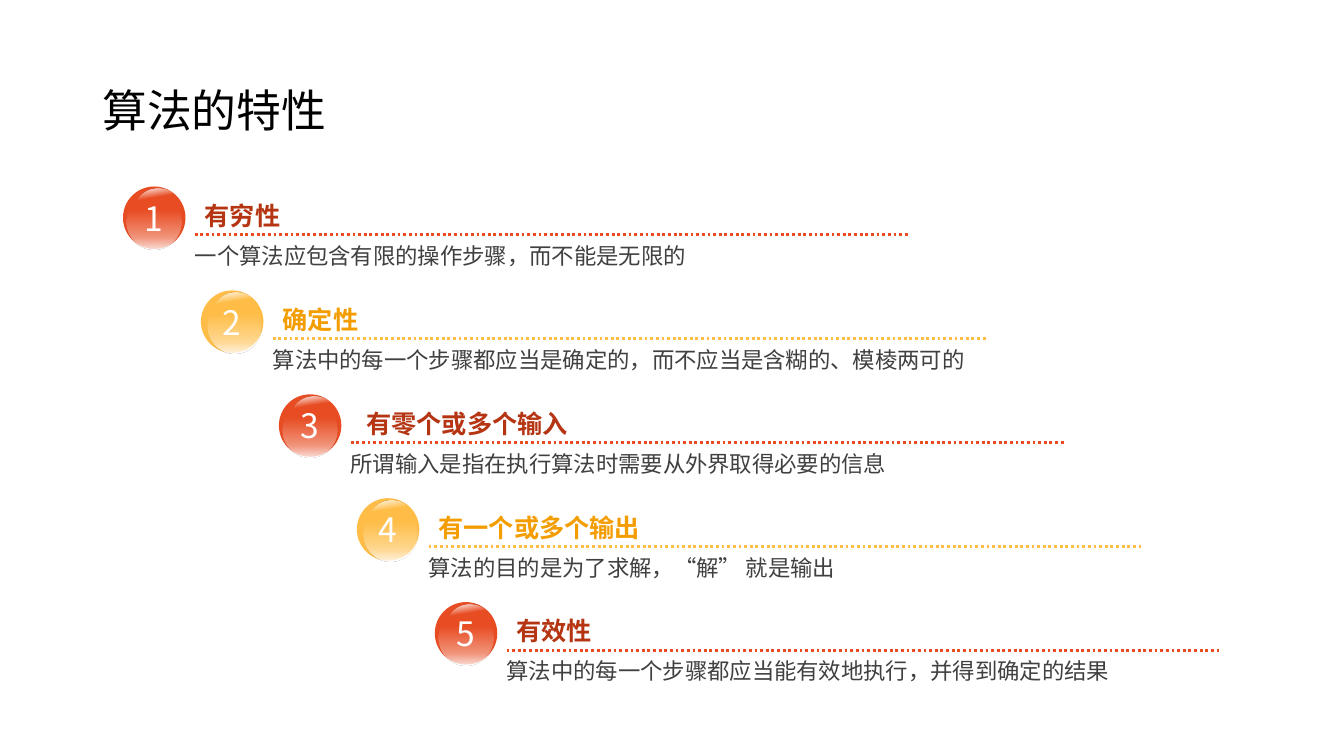
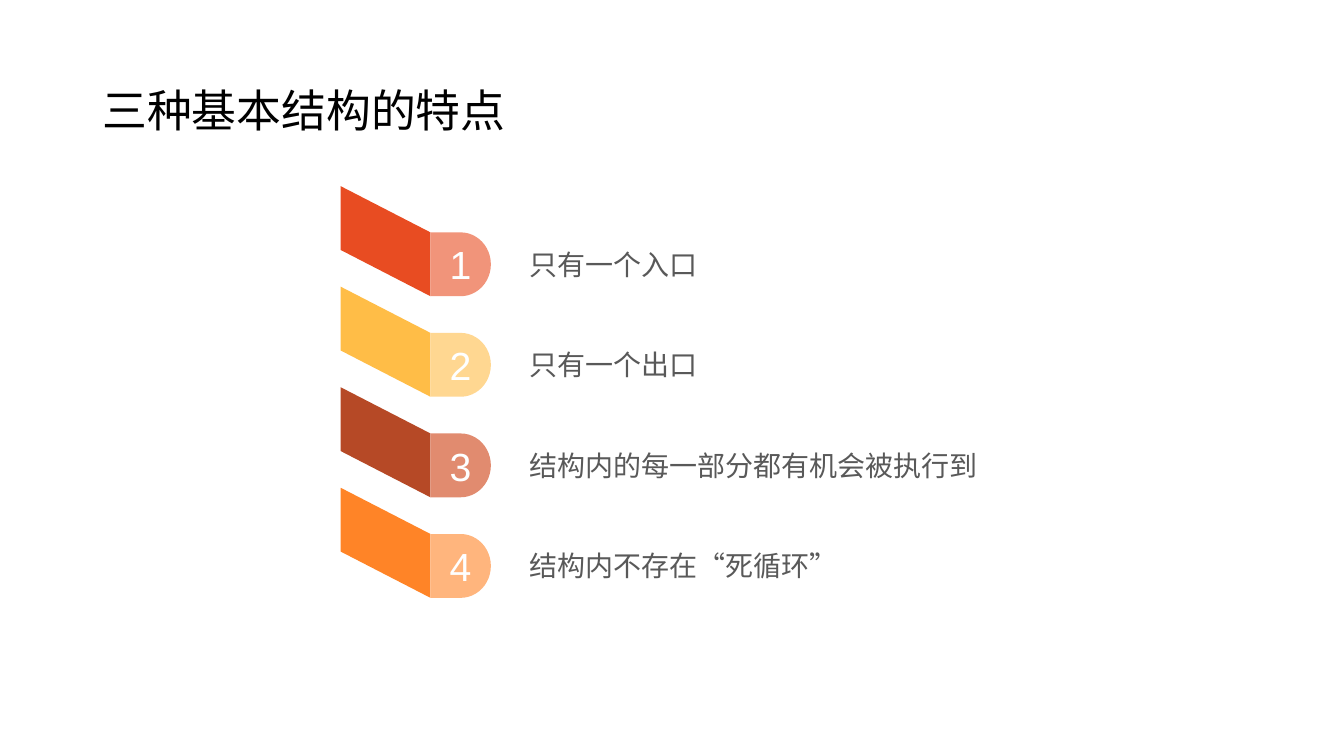
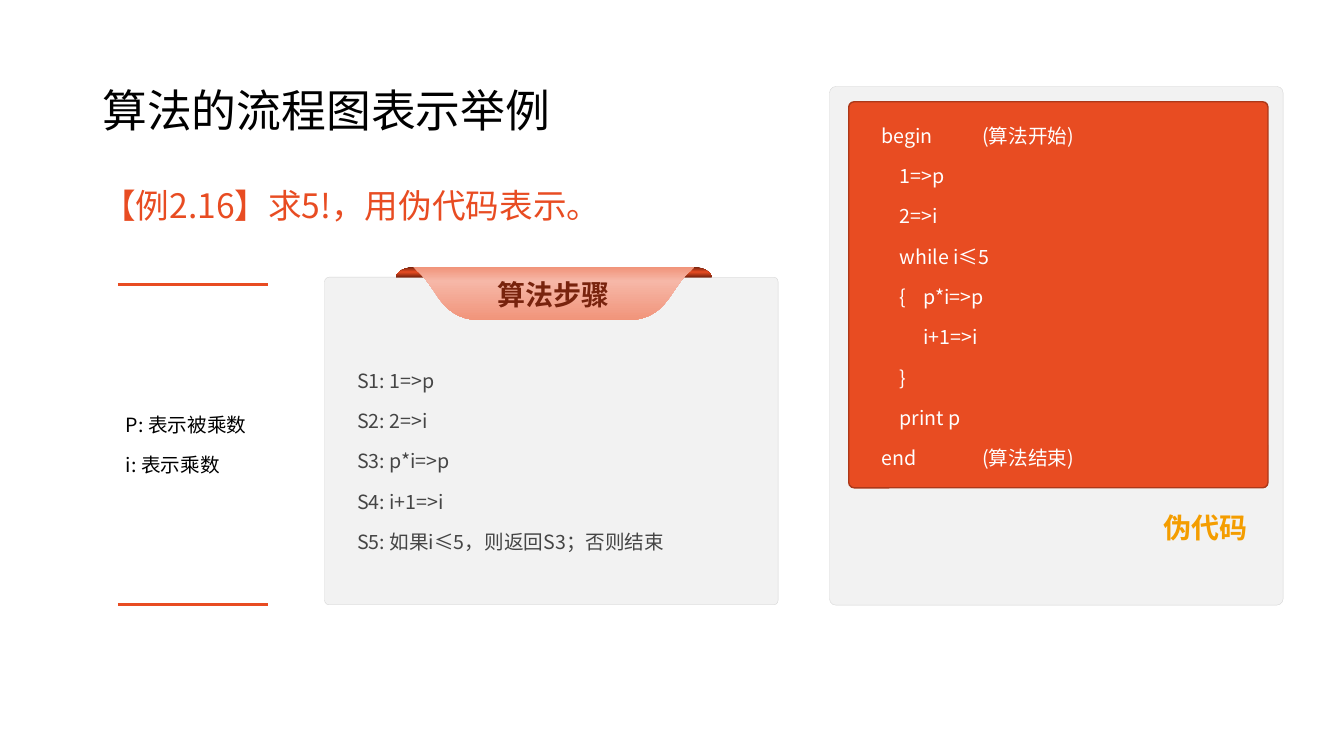
from lxml.etree import SubElement
from pptx import Presentation
from pptx.dml.color import RGBColor
from pptx.enum.dml import MSO_LINE
from pptx.enum.shapes import MSO_CONNECTOR, MSO_SHAPE as SHAPE
from pptx.enum.text import MSO_ANCHOR as ANCHOR, PP_ALIGN as ALIGN
from pptx.oxml import parse_xml
from pptx.oxml.ns import nsdecls, qn
from pptx.util import Pt

# Grid: 160 columns by 90 rows of square cells, twelve to the inch
COLS, ROWS, CELL = 160, 90, 76200

FONT = "Noto Sans CJK SC"
BLACK = RGBColor(0x00, 0x00, 0x00)
WHITE = RGBColor(0xFF, 0xFF, 0xFF)
NEAR_WHITE = RGBColor(0xFE, 0xFF, 0xFF)
DARK_GREY = RGBColor(0x40, 0x40, 0x40)
STEP_GREY = RGBColor(0x45, 0x45, 0x45)
MID_GREY = RGBColor(0x59, 0x59, 0x59)
CARD = RGBColor(0xF2, 0xF2, 0xF2)
CARD_EDGE = RGBColor(0xD5, 0xD5, 0xD5)
RED = RGBColor(0xE8, 0x4C, 0x22)
RED_EDGE = RGBColor(0xAC, 0x38, 0x19)
DEEP_RED = RGBColor(0xB5, 0x35, 0x13)
MAROON = RGBColor(0x78, 0x23, 0x0D)
SALMON = RGBColor(0xF1, 0x94, 0x7A)
PALE_SALMON = RGBColor(0xF6, 0xB7, 0xA7)
YELLOW = RGBColor(0xFF, 0xBD, 0x47)
PALE_YELLOW = RGBColor(0xFF, 0xD7, 0x91)
AMBER = RGBColor(0xF4, 0x9D, 0x00)
BROWN = RGBColor(0xB6, 0x49, 0x26)
PALE_BROWN = RGBColor(0xE1, 0x8B, 0x6F)
ORANGE = RGBColor(0xFF, 0x84, 0x27)
PALE_ORANGE = RGBColor(0xFF, 0xB5, 0x7D)


def paint(sp, fill=None, line=None, width=1, angle=90):
    """Fill is a colour or a list of (position %, colour, opacity %)."""
    spPr = sp._element.spPr
    if isinstance(fill, list):
        stops = "".join(
            f'<a:gs pos="{pos * 1000}"><a:srgbClr val="{color}">'
            f'<a:alpha val="{alpha * 1000}"/></a:srgbClr></a:gs>'
            for pos, color, alpha in fill)
        spPr.insert(2, parse_xml(
            f'<a:gradFill {nsdecls("a")} rotWithShape="1"><a:gsLst>{stops}</a:gsLst>'
            f'<a:lin ang="{angle * 60000}" scaled="0"/></a:gradFill>'))
    elif fill is not None:
        sp.fill.solid()
        sp.fill.fore_color.rgb = fill
    if line is None:
        sp.line.fill.background()
    else:
        sp.line.color.rgb = line
        sp.line.width = Pt(width)
    SubElement(spPr, qn("a:effectLst"))


def write(sp, text, size, color, bold=False, align=ALIGN.LEFT, anchor=ANCHOR.TOP,
          insets=(1.2, 0.6, 1.2, 0.6), spacing=None, before=0, after=0, font=FONT):
    tf = sp.text_frame
    tf.word_wrap = True
    tf.vertical_anchor = anchor
    tf.margin_left, tf.margin_top, tf.margin_right, tf.margin_bottom = (
        round(inset * CELL) for inset in insets)
    tf.text = text
    for p in tf.paragraphs:
        p.alignment = align
        p.line_spacing = spacing
        p.space_before, p.space_after = Pt(before), Pt(after)
        for r in p.runs:
            r.font.size, r.font.bold, r.font.name = Pt(size), bold, font
            r.font.color.rgb = color
            SubElement(r._r.get_or_add_rPr(), qn("a:ea"), typeface=FONT)


prs = Presentation()
prs.slide_width, prs.slide_height = COLS * CELL, ROWS * CELL

# Slides with their shared title
slides = []
for title in ("算法的特性", "三种基本结构的特点", "算法的流程图表示举例"):
    s = prs.slides.add_slide(prs.slide_layouts[6])
    box = [round(v * CELL) for v in (11, 4.8, 138, 17.4)]
    write(s.shapes.add_textbox(*box), title, 32, BLACK, anchor=ANCHOR.MIDDLE, spacing=0.9)
    slides.append(s)
traits, structures, example = (s.shapes for s in slides)

# Slide 1: staircase of glossy numbered balls
GLINT = [(0, WHITE, 0), (16, WHITE, 88), (30, WHITE, 0)]
SHINE = [(28, WHITE, 0), (78, WHITE, 41), (98, WHITE, 79)]
features = [
    ("有穷性", "一个算法应包含有限的操作步骤，而不能是无限的"),
    ("确定性", "算法中的每一个步骤都应当是确定的，而不应当是含糊的、模棱两可的"),
    (" 有零个或多个输入", "所谓输入是指在执行算法时需要从外界取得必要的信息"),
    ("有一个或多个输出", "算法的目的是为了求解，“解” 就是输出"),
    ("有效性", "算法中的每一个步骤都应当能有效地执行，并得到确定的结果"),
]
ball_styles = [(RED, DEEP_RED, 0.44), (YELLOW, AMBER, 0.75)]
for i, (name, detail) in enumerate(features):
    color, name_color, shine_x = ball_styles[i % 2]
    x, y = 14.64 + 9.28 * i, 22.2 + 12.37 * i
    rule_x, rule_y = x + 8.55, y + 5.74

    layers = [(0, 0, 7.44, 7.44, color, 0, 0),
              (1.36, 0.36, 6.1, 5.66, GLINT, 45, 35.7),
              (shine_x, 1, 6.5, 6.5, SHINE, 90, 0)]
    for dx, dy, w, h, fill, angle, turn in layers:
        box = [round(v * CELL) for v in (x + dx, y + dy, w, h)]
        sp = s_ball = traits.add_shape(SHAPE.OVAL, *box)
        sp.rotation = turn
        paint(sp, fill, angle=angle)
        if fill is color:
            write(sp, str(i + 1), 24, WHITE, align=ALIGN.CENTER,
                  anchor=ANCHOR.MIDDLE, insets=(0, 0.6, 0, 0.6))

    ends = [round(v * CELL) for v in (rule_x, rule_y, rule_x + 85, rule_y)]
    rule = traits.add_connector(MSO_CONNECTOR.STRAIGHT, *ends)
    paint(rule, line=color, width=2)
    rule.line.dash_style = MSO_LINE.ROUND_DOT

    box = [round(v * CELL) for v in (rule_x, rule_y - 5.2, 61.4, 5.28)]
    write(traits.add_textbox(*box), name, 18, name_color, bold=True, anchor=ANCHOR.BOTTOM)
    box = [round(v * CELL) for v in (rule_x, rule_y - 0.1, 85, 4.92)]
    write(traits.add_textbox(*box), detail, 16, DARK_GREY, insets=(0, 0, 0, 0), spacing=1.3)

# Slide 2: folded ribbons with numbered ends
ribbons = [
    ("只有一个入口", RED, SALMON),
    ("只有一个出口", YELLOW, PALE_YELLOW),
    ("结构内的每一部分都有机会被执行到", BROWN, PALE_BROWN),
    ("结构内不存在“死循环”", ORANGE, PALE_ORANGE),
]
left, fold, drop, band = 40.56, 51.24, 5.5, 7.6
for i, (label, color, pale) in enumerate(ribbons):
    top = 22.16 + 11.97 * i
    corners = [(round(x * CELL), round(y * CELL)) for x, y in (
        (left, top), (fold, top + drop), (fold, top + drop + band), (left, top + band))]
    builder = structures.build_freeform(*corners[0])
    builder.add_line_segments(corners[1:])
    paint(builder.convert_to_shape(), color)

    box = [round(v * CELL) for v in (fold, top + drop, 7.2, band)]
    sp = structures.add_shape(SHAPE.FLOWCHART_DELAY, *box)
    paint(sp, pale)
    write(sp, str(i + 1), 28, NEAR_WHITE, align=ALIGN.CENTER, anchor=ANCHOR.MIDDLE,
          insets=(1.06, 0.6, 0, 0.6), font="Arial")

    box = [round(v * CELL) for v in (61.8, top + drop - 0.54, 57.2, 6.6)]
    write(structures.add_textbox(*box), label, 20, MID_GREY, anchor=ANCHOR.MIDDLE, spacing=1.5)

# Slide 3: task line
box = [round(v * CELL) for v in (11, 20.5, 109, 7.7)]
write(example.add_textbox(*box), "【例2.16】求5!，用伪代码表示。", 24, RED, spacing=1.2, before=10)

# Cards for the steps and the pseudocode
steps = ["S1: 1=>p", "S2: 2=>i", "S3: p*i=>p", "S4: i+1=>i", "S5: 如果i≤5，则返回S3；否则结束"]
code = ["begin\t(算法开始)", "\t1=>p", "\t2=>i", "\twhile i≤5", "\t{\tp*i=>p",
        "\t\ti+1=>i", "\t}", "\tprint p", "end\t\t(算法结束)"]
cards = [
    ((38.64, 33, 54, 39), CARD, CARD_EDGE, 0.25, steps, STEP_GREY,
     ANCHOR.MIDDLE, (3.72, 9.48, 3.72, 4.68)),
    ((98.76, 10.3, 54, 61.75), CARD, CARD_EDGE, 0.25, [], None, None, None),
    ((101.04, 12.12, 49.92, 45.96), RED, RED_EDGE, 1, code, WHITE,
     ANCHOR.TOP, (3.72, 2.4, 3.72, 2.4)),
]
for place, fill, edge, width, lines, color, anchor, insets in cards:
    sp = example.add_shape(SHAPE.ROUNDED_RECTANGLE, *[round(v * CELL) for v in place])
    sp.adjustments[0] = 0.014
    paint(sp, fill, edge, width)
    if lines:
        write(sp, "\n".join(lines), 14, color, align=ALIGN.JUSTIFY, anchor=anchor,
              insets=insets, before=6, after=6)

# Tab stops that indent the pseudocode
for p in sp.text_frame.paragraphs:
    tabs = SubElement(p._p.get_or_add_pPr(), qn("a:tabLst"))
    for stop in (2.14, 5, 12):
        SubElement(tabs, qn("a:tab"), pos=str(round(stop * CELL)), algn="l")

box = [round(v * CELL) for v in (137.28, 60.24, 13.7, 5.28)]
write(example.add_textbox(*box), "伪代码", 20, AMBER, bold=True, align=ALIGN.JUSTIFY)

# Header tab with two curls; pairs are corners, groups of four are Bezier curves
MIRROR = 131.88
curl = [(48.84, 31.8), (49.44, 31.8), (49.8, 31.92),
        ((49.8, 31.92), (50.4, 32.04), (50.88, 32.4), (51.12, 32.88)),
        (51.12, 33), (47.16, 33),
        ((47.16, 32.88), (47.4, 32.4), (47.88, 32.04), (48.48, 31.92))]
tab_side = [(49.2, 31.8), (50.16, 32.7),
            ((50.16, 32.7), (52.32, 34.92), (52.68, 38.16), (57.6, 38.16))]
outlines = []
for parts in (curl, tab_side):
    points = []
    for part in parts:
        if len(part) == 2:
            points.append(part)
            continue
        for k in range(13):
            t = k / 12
            weights = ((1 - t) ** 3, 3 * t * (1 - t) ** 2, 3 * t * t * (1 - t), t ** 3)
            points.append(tuple(sum(w * c for w, c in zip(weights, axis))
                                for axis in zip(*part)))
    outlines.append(points)
curl_left, side = outlines
curl_right = [(MIRROR - x, y) for x, y in curl_left]
tab = side + [(MIRROR - x, y) for x, y in reversed(side)]

CURL_FILL = [(0, MAROON, 100), (49, RED, 100), (100, MAROON, 100)]
TAB_FILL = [(0, SALMON, 100), (26, PALE_SALMON, 100), (100, SALMON, 100)]
for outline, fill in ((curl_left, CURL_FILL), (curl_right, CURL_FILL), (tab, TAB_FILL)):
    points = [(round(x * CELL), round(y * CELL)) for x, y in outline]
    builder = example.build_freeform(*points[0])
    builder.add_line_segments(points[1:])
    sp = builder.convert_to_shape()
    paint(sp, fill)
write(sp, "算法步骤", 20, MAROON, bold=True, align=ALIGN.CENTER, anchor=ANCHOR.MIDDLE)

# Variable notes between two rules
x, top, w, h = 14.04, 33.84, 17.88, 38.16
for y in (top, top + h):
    ends = [round(v * CELL) for v in (x, y, x + w, y)]
    paint(example.add_connector(MSO_CONNECTOR.STRAIGHT, *ends), line=RED, width=2)
box = [round(v * CELL) for v in (x, top, w, h)]
write(example.add_textbox(*box), "P: 表示被乘数\ni: 表示乘数", 14, BLACK, align=ALIGN.JUSTIFY,
      anchor=ANCHOR.MIDDLE, insets=(0.96,) * 4, before=6, after=6)

prs.save("out.pptx")
